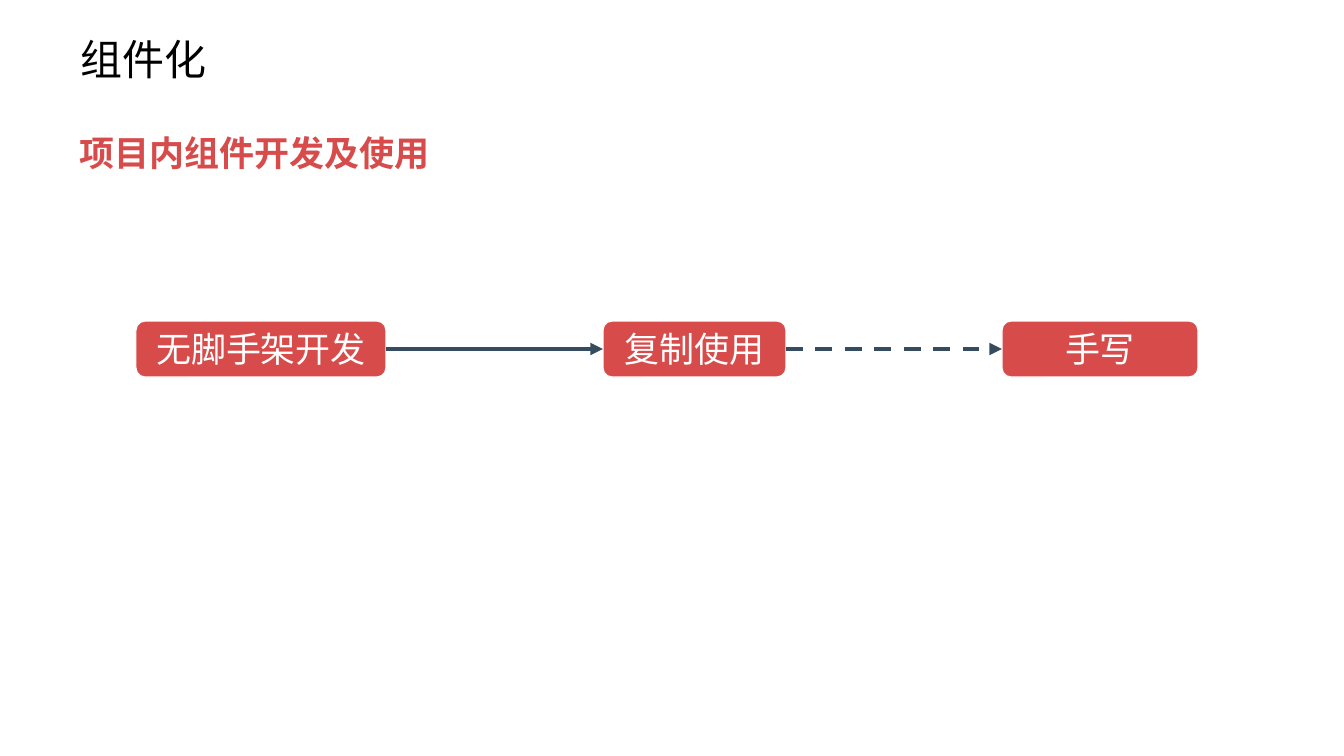
from pptx import Presentation
from pptx import util as u
from pptx.dml.color import RGBColor
from pptx.enum import dml, shapes, text
from pptx.oxml.ns import qn
from lxml import etree

PX = 914400 / 100.8  # EMU per px
RED, NAVY, WHITE, BLACK = "D74B4B", "354B5E", "FFFFFF", "000000"


def rgb(value):
    return RGBColor.from_string(value)


def px(*values):
    return [u.Emu(round(v * PX)) for v in values]


class Deck:
    font = "Noto Sans CJK SC"

    def __init__(self, prs):
        self.s = prs.slides.add_slide(prs.slide_layouts[5])

    def label(self, sp, words, color, align=text.PP_ALIGN.LEFT, **frame):
        tf = sp.text_frame
        for name, value in {"word_wrap": True, **frame}.items():
            setattr(tf, name, value)
        p = tf.paragraphs[0]
        p.alignment = align
        r = p.add_run()
        r.text = words
        r.font.color.rgb = rgb(color)
        etree.SubElement(r.font._element, qn("a:ea"), typeface=self.font)
        return r.font

    def style(self, font, **fmt):
        for name, value in {"name": self.font, "size": u.Pt(25), **fmt}.items():
            setattr(font, name, value)

    def title(self, words, *box):
        sp = self.s.shapes.title
        sp.left, sp.top, sp.width, sp.height = px(*box)
        font = self.label(sp, words, BLACK, auto_size=text.MSO_AUTO_SIZE.NONE,
                          vertical_anchor=text.MSO_ANCHOR.MIDDLE)
        self.style(font, size=u.Pt(30))

    def heading(self, words, *box):
        sp = self.s.shapes.add_textbox(*px(*box))
        font = self.label(sp, words, RED, auto_size=text.MSO_AUTO_SIZE.SHAPE_TO_FIT_TEXT)
        self.style(font, bold=True)

    def step(self, words, *box):
        sp = self.s.shapes.add_shape(shapes.MSO_SHAPE.ROUNDED_RECTANGLE, *px(*box))
        sp.shadow.inherit = False
        sp.fill.solid()
        sp.fill.fore_color.rgb = rgb(RED)
        sp.line.color.rgb = rgb(WHITE)
        sp.line.width = u.Pt(0.75)
        font = self.label(sp, words, WHITE, text.PP_ALIGN.CENTER,
                          vertical_anchor=text.MSO_ANCHOR.MIDDLE)
        self.style(font)
        return sp

    def arrow(self, start, end, dash=None):
        cx = self.s.shapes.add_connector(shapes.MSO_CONNECTOR.STRAIGHT, 0, 0, 0, 0)
        cx.begin_connect(start, 3)
        cx.end_connect(end, 1)
        cx.line.color.rgb = rgb(NAVY)
        cx.line.width = u.Pt(3)
        if dash:
            cx.line.dash_style = dash
        props = cx._element.spPr
        etree.SubElement(props.find(qn("a:ln")), qn("a:tailEnd"), type="triangle")
        etree.SubElement(props, qn("a:effectLst"))


def main():
    prs = Presentation()
    prs.slide_width, prs.slide_height = px(1344, 756)
    deck = Deck(prs)

    # Title and heading
    deck.title("组件化", 70, 30, 869, 58)
    deck.heading("项目内组件开发及使用", 70, 127, 373, 52)

    # Steps in one row
    steps = [("无脚手架开发", 136, 250), ("复制使用", 603, 183), ("手写", 1002, 196)]
    boxes = [deck.step(words, left, 321, width, 56) for words, left, width in steps]

    # Arrows between neighbours
    dashes = [None, dml.MSO_LINE.DASH]
    for start, end, dash in zip(boxes, boxes[1:], dashes):
        deck.arrow(start, end, dash)

    prs.save("out.pptx")


if __name__ == "__main__":
    main()
